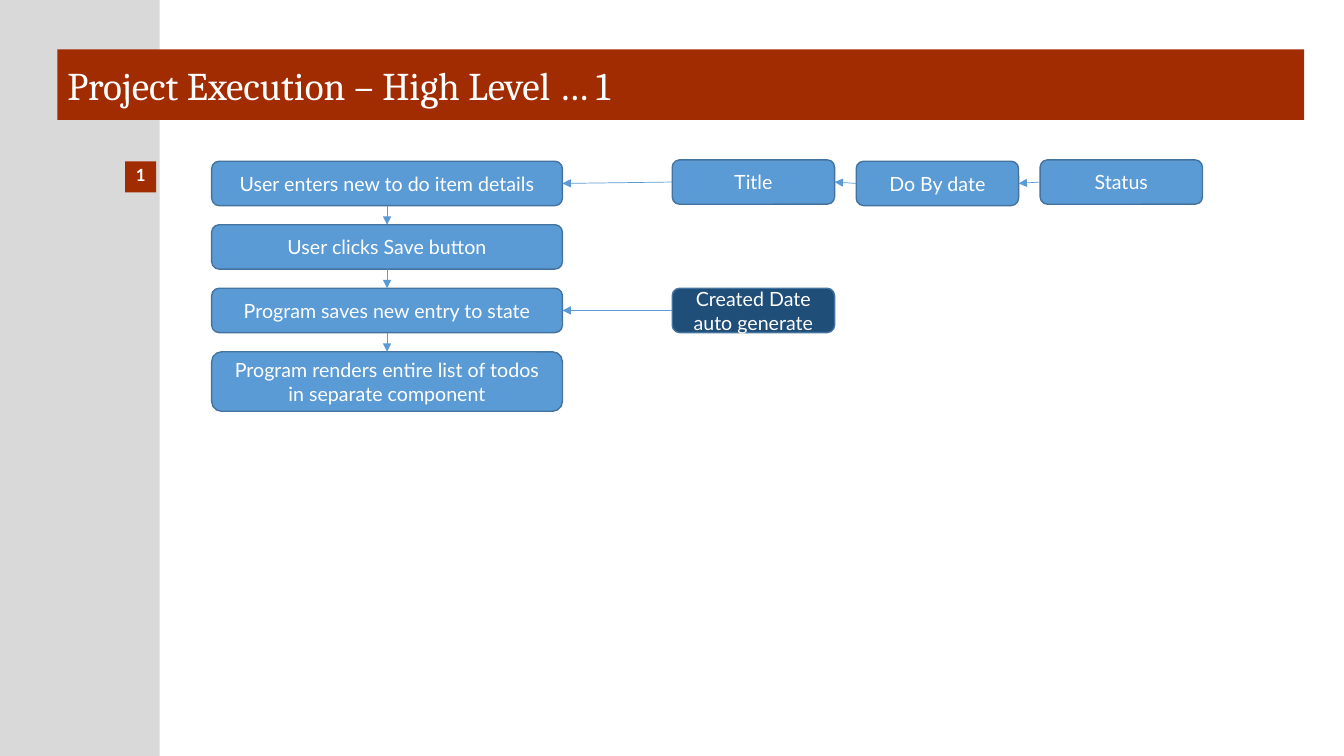
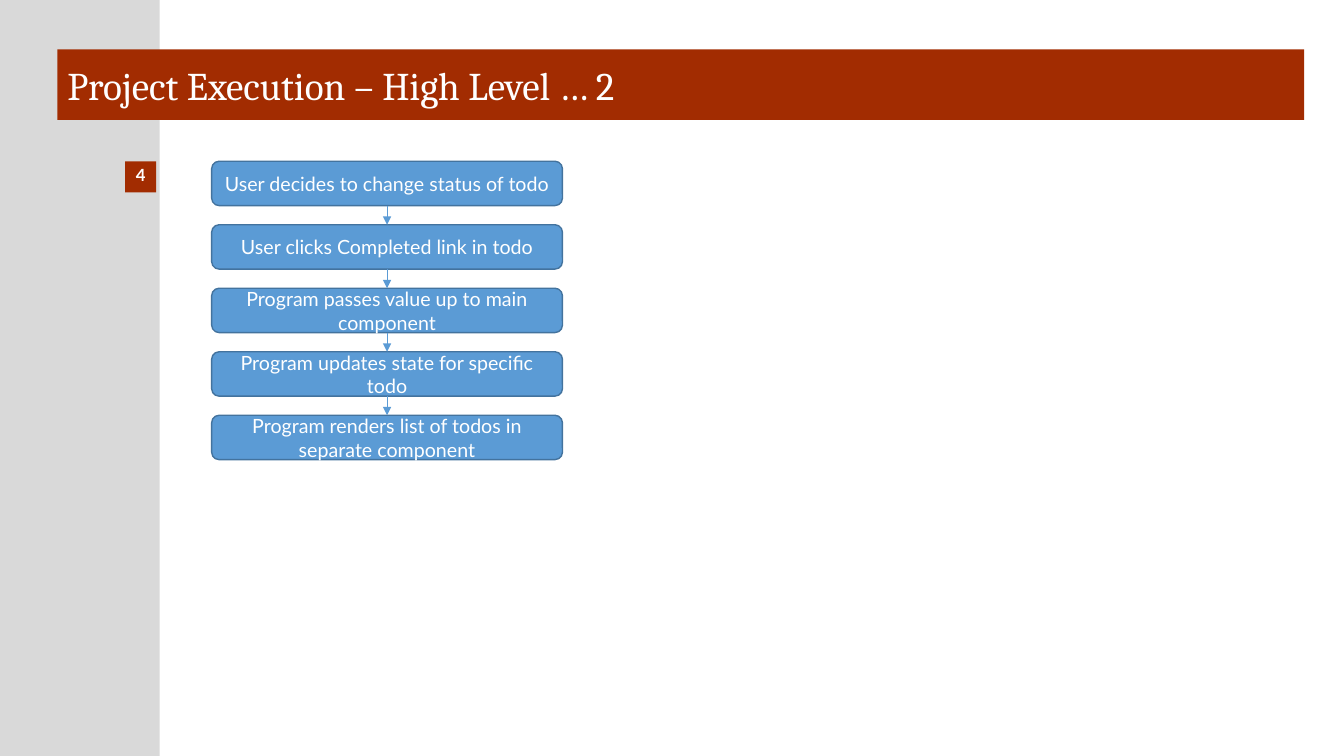
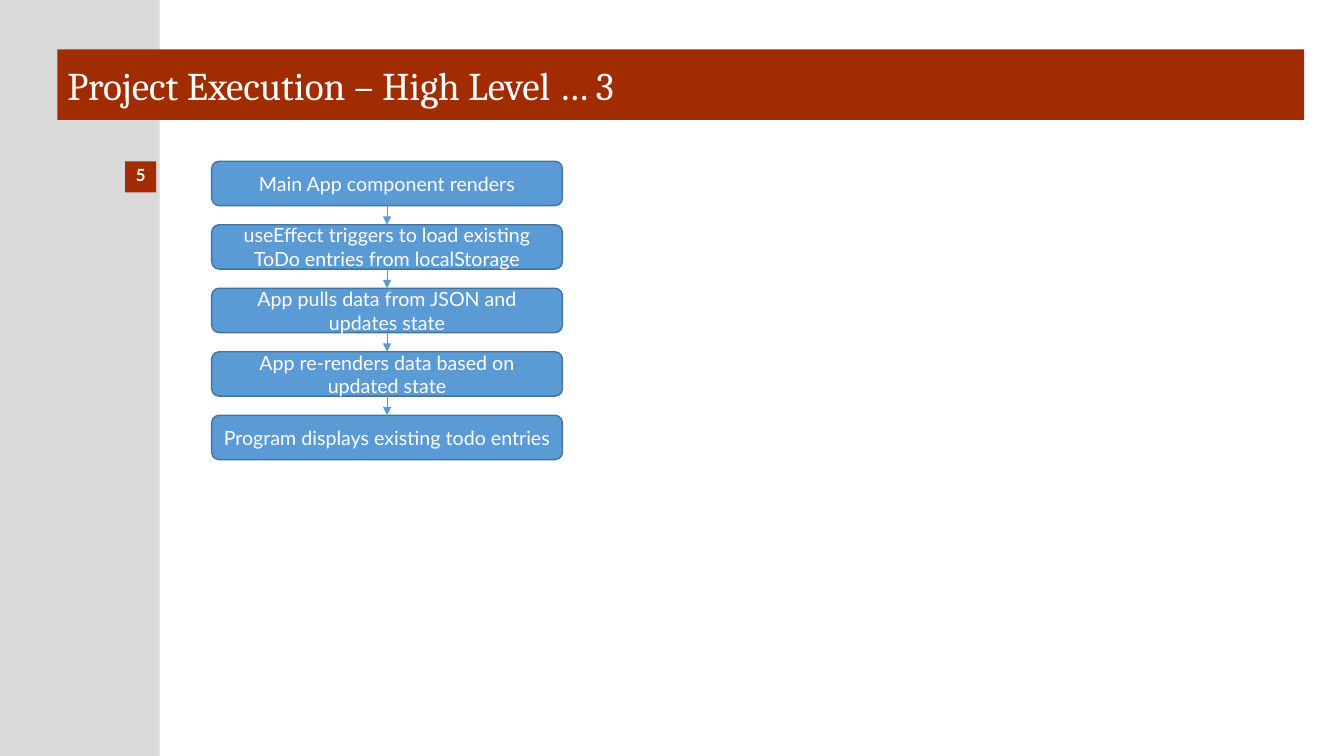
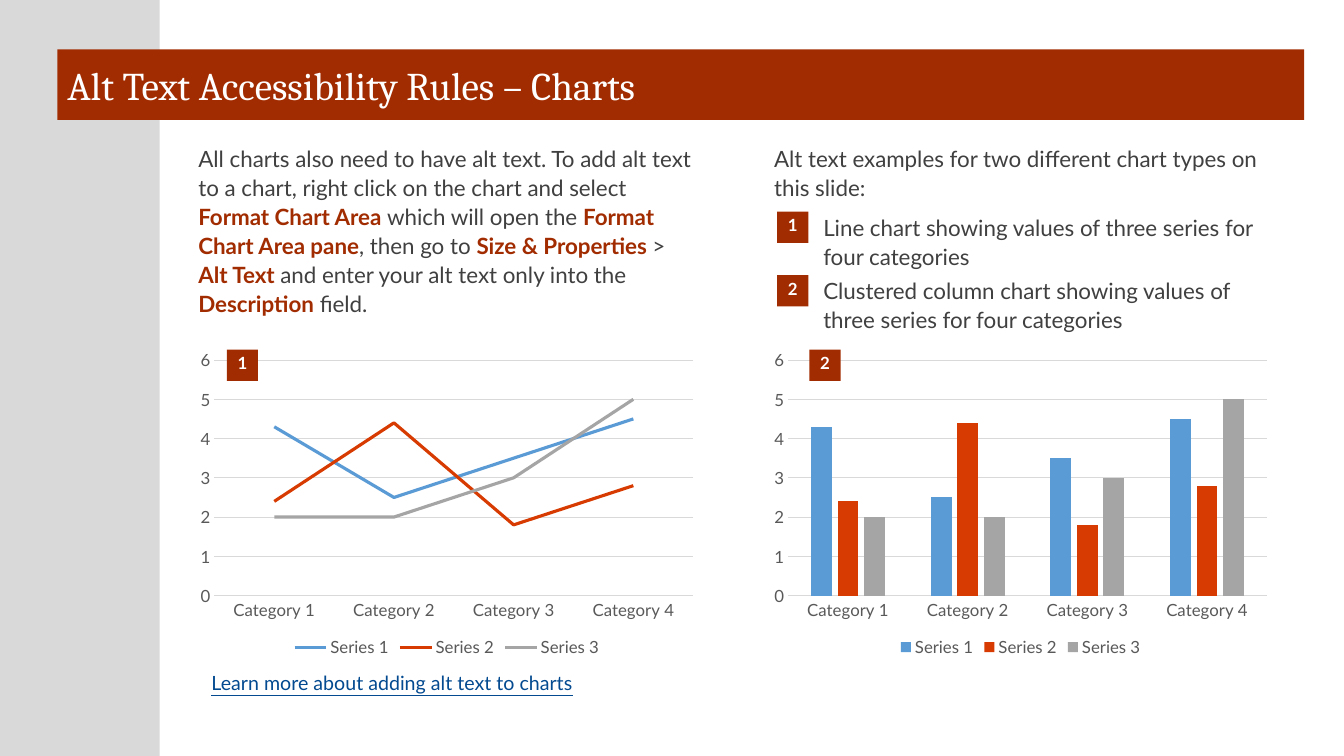
"""Build four slides on project execution flows and chart alt text."""
import lxml.etree
import pptx
import pptx.chart.data
import pptx.dml.color
import pptx.enum.chart
import pptx.enum.shapes
import pptx.enum.text
import pptx.oxml.ns
import pptx.util

Pt = pptx.util.Pt
SHAPES = pptx.enum.shapes.MSO_SHAPE
ANCHORS = pptx.enum.text.MSO_ANCHOR
ALIGNS = pptx.enum.text.PP_ALIGN
CHARTS = pptx.enum.chart.XL_CHART_TYPE
TOP, LEFT, BOTTOM, RIGHT = range(4)


def color(value):
    """Turn a hex string into a colour."""
    return pptx.dml.color.RGBColor.from_string(value)


class Slides:
    """Hold the shared style and the current slide."""

    RUST, GRAY, WHITE = "A22C01", "D9D9D9", "FFFFFF"
    BLUE, EDGE, NAVY = "5B9BD5", "43739E", "1F4E79"
    TEXT, LABEL, LINK = "404040", "595959", "034A90"
    SERIES = (BLUE, "D83B01", "A5A5A5")
    HEADING, BODY = "Cambria", "Lato"
    STEP_LEFT, STEP_TOP, STEP_WIDTH = 151.2, 115.2, 250.56
    STEP_HEIGHT, STEP_PITCH = 31.68, 45.36

    def __init__(self):
        """Open a wide deck."""
        self.deck = pptx.Presentation()
        self.deck.slide_width, self.deck.slide_height = Pt(960), Pt(540)
        self.page = None

    def start(self, title, number=None):
        """Add a page with its side band, title bar and optional number."""
        self.page = self.deck.slides.add_slide(self.deck.slide_layouts[6])
        self.block(0, 0, 114, 540, self.GRAY)
        bar = self.block(41, 35.3, 890.6, 50.4, self.RUST)
        self.fill_text(bar, title, 28, self.WHITE, self.HEADING)
        if number:
            self.badge(89.3, 115.2, number)

    def block(self, left, top, width, height, fill, kind=SHAPES.RECTANGLE, edge=None):
        """Add a filled preset shape."""
        shape = self.page.shapes.add_shape(kind, Pt(left), Pt(top), Pt(width), Pt(height))
        shape.shadow.inherit = False
        shape.fill.solid()
        shape.fill.fore_color.rgb = color(fill)
        if edge:
            self.rule(shape.line, edge, 1)
        else:
            shape.line.fill.background()
        return shape

    def fill_text(self, shape, text, size, ink, font=BODY, align=ALIGNS.LEFT,
                  anchor=ANCHORS.MIDDLE, bold=False):
        """Put one styled paragraph into a shape."""
        frame = shape.text_frame
        frame.text = text
        frame.word_wrap = True
        frame.vertical_anchor = anchor
        para = frame.paragraphs[0]
        para.alignment = align
        for span in para.runs:
            self.style(span.font, size, ink, font, bold)
        return para

    def style(self, target, size, ink, font=BODY, bold=False):
        """Set size, colour, typeface and weight of a font."""
        target.size, target.name, target.bold = Pt(size), font, bold
        target.color.rgb = color(ink)

    def badge(self, left, top, number):
        """Add a small numbered square."""
        square = self.block(left, top, 22.3, 22.3, self.RUST)
        self.fill_text(square, str(number), 12, self.WHITE, align=ALIGNS.CENTER,
                       anchor=ANCHORS.TOP, bold=True)
        frame = square.text_frame
        frame.margin_left = frame.margin_right = frame.margin_bottom = 0
        frame.margin_top = Pt(2.2)

    def node(self, left, top, width, height, text, fill=BLUE):
        """Add a rounded flow box."""
        box = self.block(left, top, width, height, fill, SHAPES.ROUNDED_RECTANGLE, self.EDGE)
        self.fill_text(box, text, 14, self.WHITE, align=ALIGNS.CENTER)
        return box

    def arrow(self, source, source_site, target, target_site):
        """Join two flow boxes with an arrow."""
        line = self.page.shapes.add_connector(
            pptx.enum.shapes.MSO_CONNECTOR.STRAIGHT, 0, 0, 0, 0)
        line.begin_connect(source, source_site)
        line.end_connect(target, target_site)
        self.rule(line.line, self.BLUE, 0.5)
        qn = pptx.oxml.ns.qn
        head = lxml.etree.SubElement(line.line._get_or_add_ln(), qn("a:tailEnd"))
        head.set("type", "triangle")
        lxml.etree.SubElement(line._element.spPr, qn("a:effectLst"))

    def flow(self, steps, last_height=STEP_HEIGHT):
        """Stack the steps and join each to the next."""
        heights = [self.STEP_HEIGHT] * (len(steps) - 1) + [last_height]
        boxes = [
            self.node(self.STEP_LEFT, self.STEP_TOP + index * self.STEP_PITCH,
                      self.STEP_WIDTH, height, text)
            for index, (text, height) in enumerate(zip(steps, heights))
        ]
        for upper, lower in zip(boxes, boxes[1:]):
            self.arrow(upper, BOTTOM, lower, TOP)
        return boxes

    def note(self, left, top, width, height, text, size=16, ink=TEXT, spacing=1.08):
        """Add body text, with the parts between asterisks emphasised."""
        box = self.page.shapes.add_textbox(Pt(left), Pt(top), Pt(width), Pt(height))
        para = self.fill_text(box, "", size, ink, anchor=ANCHORS.TOP)
        para.line_spacing = spacing
        for index, part in enumerate(text.split("*")):
            span = para.add_run()
            span.text = part
            strong = index % 2 == 1
            self.style(span.font, size, self.RUST if strong else ink, bold=strong)
        return para

    def chart(self, kind, left, data):
        """Add a chart with the shared axes, legend and series colours."""
        chart = self.page.shapes.add_chart(
            kind, Pt(left), Pt(245.5), Pt(366.5), Pt(226.8), data).chart
        self.style(chart.font, 12, self.LABEL)
        chart.has_title = False
        chart.has_legend = True
        chart.legend.position = pptx.enum.chart.XL_LEGEND_POSITION.BOTTOM
        chart.legend.include_in_layout = False
        for axis in (chart.category_axis, chart.value_axis):
            axis.major_tick_mark = pptx.enum.chart.XL_TICK_MARK.NONE
        self.rule(chart.category_axis.format.line, self.GRAY, 0.75)
        values = chart.value_axis
        values.minimum_scale, values.maximum_scale, values.major_unit = 0, 6, 1
        values.format.line.fill.background()
        self.rule(values.major_gridlines.format.line, self.GRAY, 0.75)
        plot = chart.plots[0]
        plot.vary_by_categories = False
        for series, ink in zip(plot.series, self.SERIES):
            if kind == CHARTS.LINE:
                series.smooth = False
                series.marker.style = pptx.enum.chart.XL_MARKER_STYLE.NONE
                self.rule(series.format.line, ink, 2.25)
            else:
                series.format.fill.solid()
                series.format.fill.fore_color.rgb = color(ink)
        if kind == CHARTS.COLUMN_CLUSTERED:
            plot.gap_width, plot.overlap = 219, -27

    def rule(self, line, ink, width):
        """Set the colour and width of a line."""
        line.color.rgb = color(ink)
        line.width = Pt(width)


slides = Slides()

slides.start("Project Execution – High Level … 1", 1)
steps = slides.flow([
    "User enters new to do item details",
    "User clicks Save button",
    "Program saves new entry to state",
    "Program renders entire list of todos in separate component",
], last_height=42.5)
target = steps[0]
for index, (field, top) in enumerate(
        [("Title", 114.2), ("Do By date", 115.2), ("Status", 114.2)]):
    box = slides.node(480.2 + index * 131.4, top, 116, slides.STEP_HEIGHT, field)
    slides.arrow(box, LEFT, target, RIGHT)
    target = box
created = slides.node(480.2, slides.STEP_TOP + 2 * slides.STEP_PITCH, 116,
                      slides.STEP_HEIGHT, "Created Date auto generate", slides.NAVY)
slides.arrow(created, LEFT, steps[2], RIGHT)

slides.start("Project Execution – High Level … 2", 4)
slides.flow([
    "User decides to change status of todo",
    "User clicks Completed link in todo",
    "Program passes value up to main component",
    "Program updates state for specific todo",
    "Program renders list of todos in separate component",
])

slides.start("Project Execution – High Level … 3", 5)
slides.flow([
    "Main App component renders",
    "useEffect triggers to load existing ToDo entries from localStorage",
    "App pulls data from JSON and updates state",
    "App re-renders data based on updated state",
    "Program displays existing todo entries",
])

slides.start("Alt Text Accessibility Rules – Charts")
slides.note(134.6, 98.6, 368.6, 150.5,
            "All charts also need to have alt text. To add alt text to a chart, right click "
            "on the chart and select *Format Chart Area *which will open the *Format Chart "
            "Area pane*, then go to *Size & Properties *> *Alt Text *and enter your alt text "
            "only into the *Description* field.")
slides.note(545.8, 98.6, 375, 48.2,
            "Alt text examples for two different chart types on this slide:")
data = pptx.chart.data.CategoryChartData()
data.categories = [f"Category {number}" for number in range(1, 5)]
data.add_series("Series 1", (4.3, 2.5, 3.5, 4.5))
data.add_series("Series 2", (2.4, 4.4, 1.8, 2.8))
data.add_series("Series 3", (2, 2, 3, 5))
examples = [
    (CHARTS.LINE, 136, 162,
     "Line chart showing values of three series for four categories"),
    (CHARTS.COLUMN_CLUSTERED, 545.8, 578.2,
     "Clustered column chart showing values of three series for four categories"),
]
for index, (kind, chart_left, badge_left, caption) in enumerate(examples):
    top = 151.2 + index * slides.STEP_PITCH
    slides.badge(555.1, top, index + 1)
    slides.note(581, top - 3.6, 336.2, 49, caption)
    slides.chart(kind, chart_left, data)
    slides.badge(badge_left, 249.8, index + 1)
link = slides.note(144, 475.9, 285.1, 24.5, "Learn more about adding alt text to charts",
                   14, slides.LINK, 1.0)
link.runs[0].font.underline = True

slides.deck.save("out.pptx")
